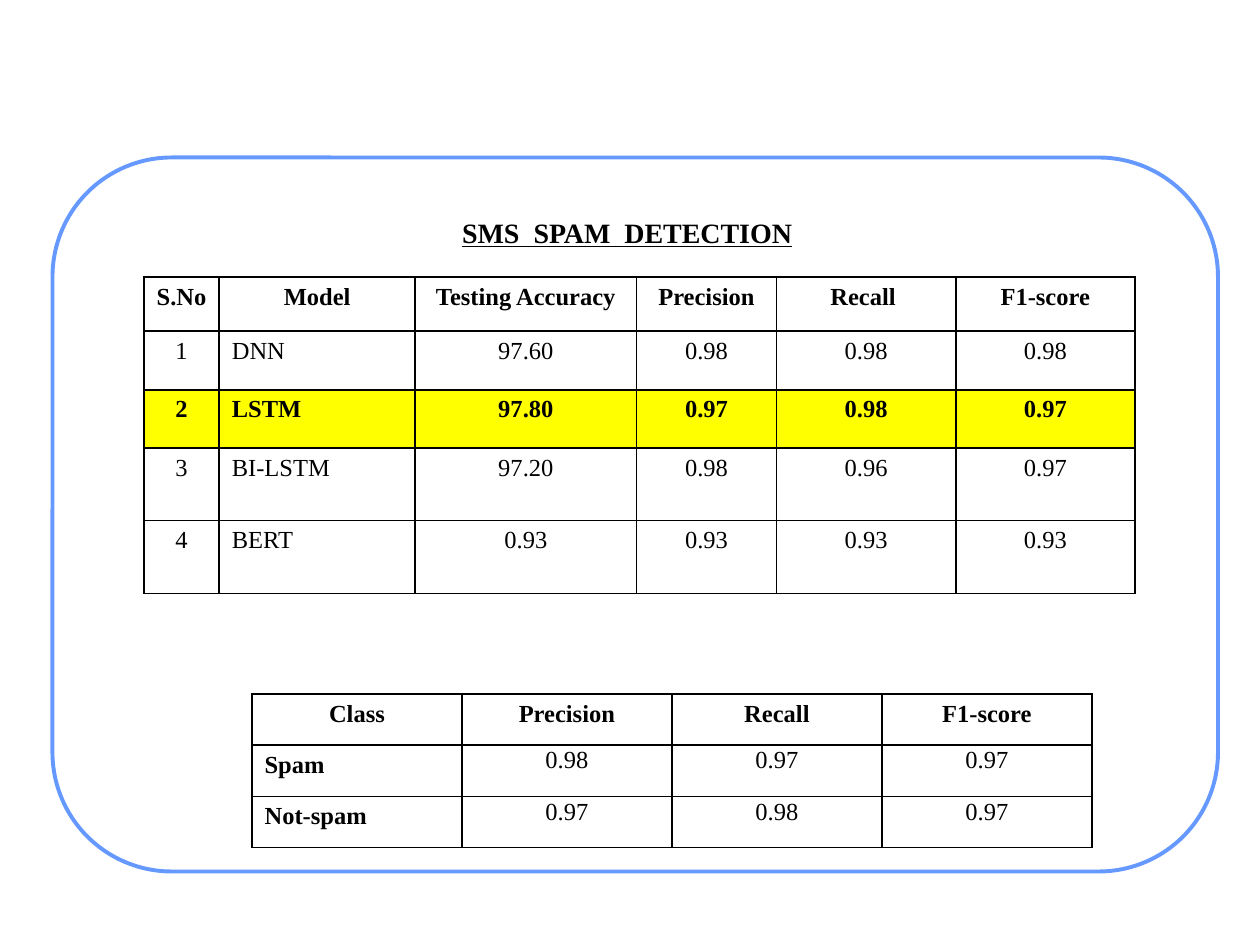
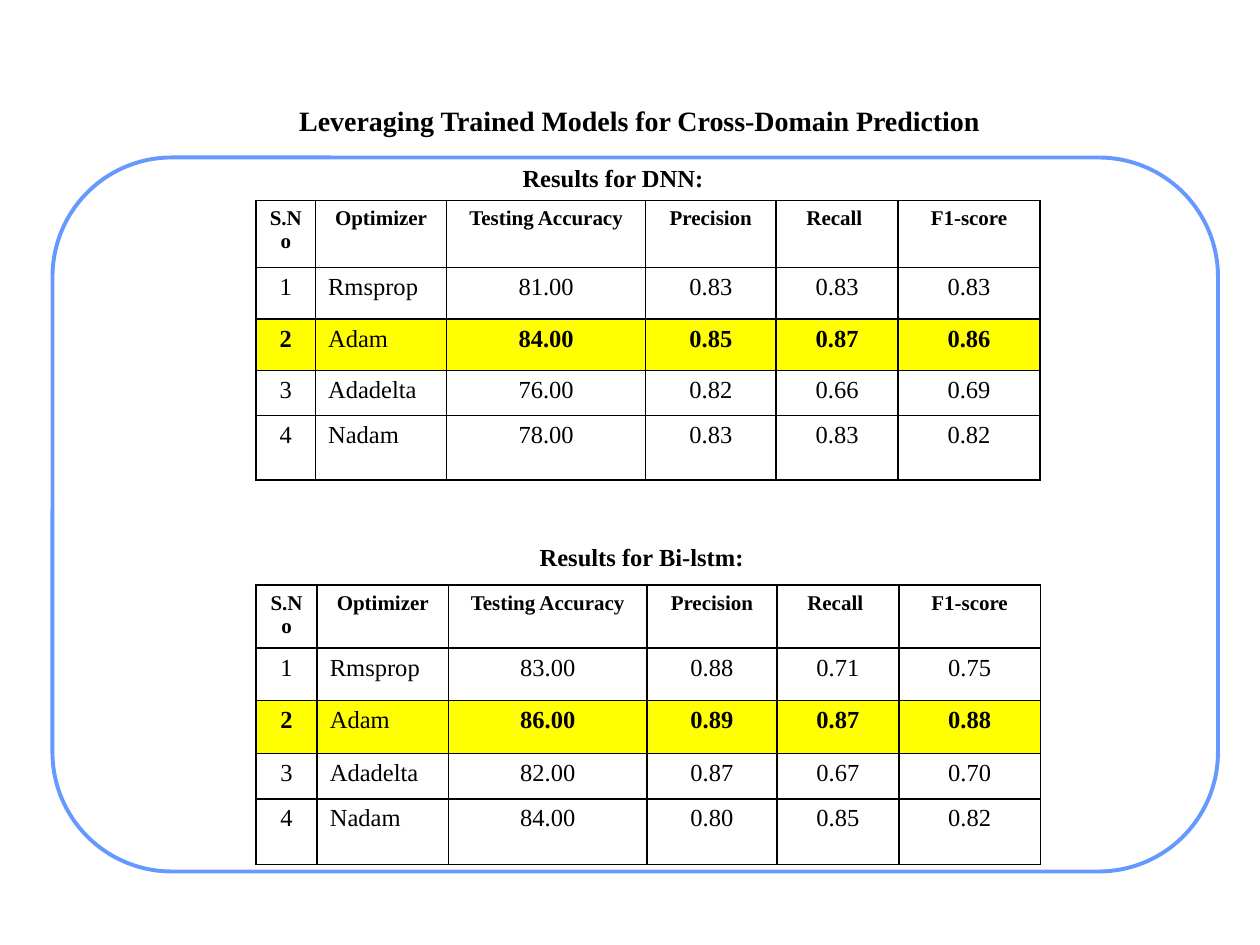
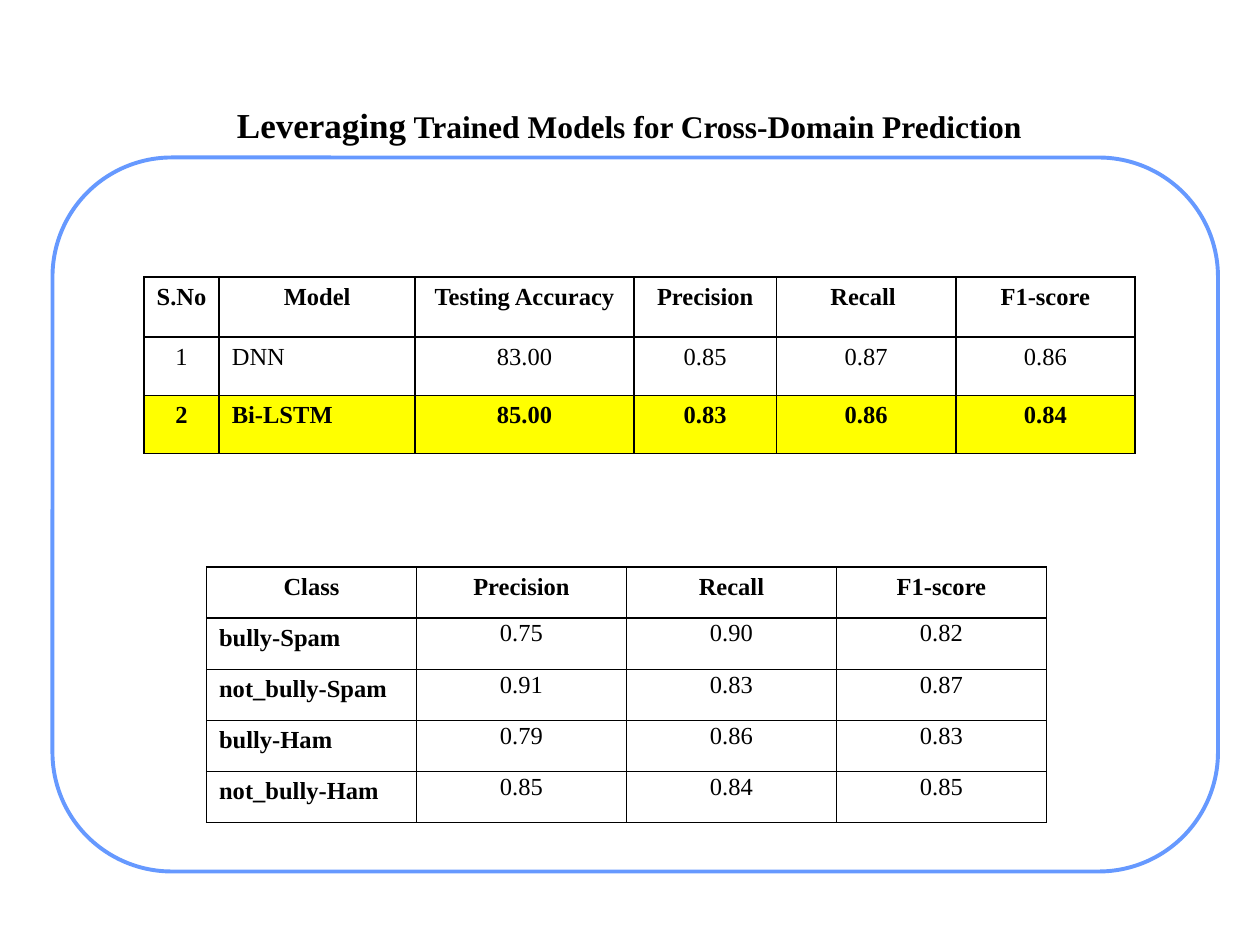
from lxml.etree import SubElement
from pptx import Presentation
from pptx.dml.color import RGBColor
from pptx.enum.shapes import MSO_SHAPE
from pptx.enum.text import PP_ALIGN
from pptx.oxml.ns import qn
from pptx.util import Pt

# Shared look
FONT = "Times New Roman"
BLACK, WHITE, FRAME_BLUE, HIGHLIGHT = "000000", "FFFFFF", "6699FF", "FFFF00"
color = RGBColor.from_string
HIGHLIGHT_ROW = 2

MODEL_HEADER = ["S.No", "Model", "Testing Accuracy", "Precision", "Recall ", "F1-score"]
OPTIMIZER_HEADER = ["S.No", "Optimizer", "Testing Accuracy", "Precision", "Recall ", "F1-score"]
CLASS_HEADER = ["Class", "Precision", "Recall", "F1-score"]
CLASS_WIDTHS = [120] * 4
CLASS_ROW_HEIGHT = 29.25


def write_text(paragraph, text, size=14, bold=False, underline=False, align=PP_ALIGN.LEFT):
    paragraph.alignment = align
    run = paragraph.add_run()
    run.text = text
    run.font.name = FONT
    run.font.size = Pt(size)
    run.font.bold = bold
    run.font.underline = underline
    run.font.color.rgb = color(BLACK)


def add_results(slide, left, top, widths, heights, rows, header_size=14):
    shape = slide.shapes.add_table(len(rows), len(widths), Pt(left), Pt(top),
                                   Pt(sum(widths)), Pt(sum(heights)))
    table = shape.table
    table.first_row = table.horz_banding = False
    for column, width in zip(table.columns, widths):
        column.width = Pt(width)
    for row, height in zip(table.rows, heights):
        row.height = Pt(height)

    by_class = rows[0][0] == "Class"
    by_optimizer = rows[0][1] == "Optimizer"
    name_column = 0 if by_class else 1
    for row_index, values in enumerate(rows):
        header = row_index == 0
        highlighted = row_index == HIGHLIGHT_ROW and not by_class
        for column_index, value in enumerate(values):
            cell = table.cell(row_index, column_index)
            name = column_index == name_column and not header
            if name:
                bold = by_class or (highlighted and not by_optimizer)
            else:
                bold = header or highlighted
            paragraph = cell.text_frame.paragraphs[0]
            write_text(paragraph, value, size=header_size if header else 14, bold=bold,
                       align=PP_ALIGN.LEFT if name else PP_ALIGN.CENTER)
            # Class scores sit close to the top of their cells
            if by_class and not header and not name:
                cell.margin_left = cell.margin_right = Pt(5)
                cell.margin_top = cell.margin_bottom = Pt(0)
                paragraph.line_spacing = 1.07
                paragraph.space_after = Pt(8)
            # Borders come before the fill in the cell properties
            properties = cell._tc.get_or_add_tcPr()
            for side in ("a:lnL", "a:lnR", "a:lnT", "a:lnB"):
                border = SubElement(properties, qn(side), w=str(Pt(1)))
                solid = SubElement(border, qn("a:solidFill"))
                SubElement(solid, qn("a:srgbClr"), val=BLACK)
            if highlighted:
                cell.fill.solid()
                cell.fill.fore_color.rgb = color(HIGHLIGHT)
            else:
                cell.fill.background()


presentation = Presentation()
presentation.slide_width, presentation.slide_height = Pt(720), Pt(540)

# Three slides with the rounded frame
slides = []
for _ in range(3):
    slide = presentation.slides.add_slide(presentation.slide_layouts[6])
    frame = slide.shapes.add_shape(MSO_SHAPE.ROUNDED_RECTANGLE, Pt(30), Pt(90), Pt(666), Pt(408))
    frame.adjustments[0] = 0.167
    frame.shadow.inherit = False
    frame.fill.solid()
    frame.fill.fore_color.rgb = color(WHITE)
    frame.line.color.rgb = color(FRAME_BLUE)
    frame.line.width = Pt(2.25)
    slides.append(slide)
spam_slide, optimizer_slide, cross_domain_slide = slides

# Headings: slide, box, side inset, alignment, runs as (text, format)
headings = [
    (spam_slide, (257, 119.5, 207, 26.5), 7.2, PP_ALIGN.LEFT,
     [("SMS  SPAM  DETECTION", {"size": 16, "underline": True})]),
    (optimizer_slide, (155.5, 55.5, 420, 26.5), 7.2, PP_ALIGN.CENTER,
     [("Leveraging Trained Models for Cross-Domain Prediction", {"size": 16})]),
    (optimizer_slide, (295, 89.5, 141, 24.5), 3.6, PP_ALIGN.LEFT, [("Results for DNN:", {})]),
    (optimizer_slide, (304.8, 306.3, 141, 24.5), 3.6, PP_ALIGN.LEFT,
     [("Results for Bi-lstm:", {})]),
    (cross_domain_slide, (102, 55.5, 515.5, 31.5), 7.2, PP_ALIGN.CENTER,
     [("Leveraging", {"size": 20}),
      (" Trained Models for Cross-Domain Prediction", {"size": 18})]),
]
for slide, box, inset, align, runs in headings:
    text_frame = slide.shapes.add_textbox(*map(Pt, box)).text_frame
    text_frame.word_wrap = True
    text_frame.margin_left = text_frame.margin_right = Pt(inset)
    for text, text_format in runs:
        write_text(text_frame.paragraphs[0], text, bold=True, align=align, **text_format)

# Slide 1: spam detection models and classes
add_results(spam_slide, 82.3, 158.3, [43, 112, 126.5, 80, 102.5, 102.3],
            [31, 33.5, 33.3, 41.5, 41.7], [
    MODEL_HEADER,
    ["1", "DNN", "97.60", "0.98", "0.98", "0.98"],
    ["2", "LSTM", "97.80", "0.97", "0.98", "0.97"],
    ["3", "BI-LSTM", "97.20", "0.98", "0.96", "0.97"],
    ["4", "BERT", "0.93", "0.93", "0.93", "0.93"],
])
add_results(spam_slide, 144, 396.6, CLASS_WIDTHS, [CLASS_ROW_HEIGHT] * 3, [
    CLASS_HEADER,
    ["Spam", "0.98", "0.97", "0.97"],
    ["Not-spam", "0.97", "0.98", "0.97"],
])

# Slide 2: optimizers for each model
add_results(optimizer_slide, 146.3, 114.6, [34, 75, 113.7, 74.5, 69.8, 81],
            [38.2, 29.6, 29.4, 25.7, 36.8], [
    OPTIMIZER_HEADER,
    ["1", "Rmsprop", "81.00", "0.83", "0.83", "0.83"],
    ["2", "Adam", "84.00", "0.85", "0.87", "0.86"],
    ["3", "Adadelta", "76.00", "0.82", "0.66", "0.69"],
    ["4", "Nadam", "78.00", "0.83", "0.83", "0.82"],
], header_size=12)
add_results(optimizer_slide, 146.3, 334.3, [35, 75, 113.5, 74.2, 69.8, 80.8],
            [36, 30, 30.2, 26, 37.5], [
    OPTIMIZER_HEADER,
    ["1", "Rmsprop", "83.00", "0.88", "0.71", "0.75"],
    ["2", "Adam", "86.00", "0.89", "0.87", "0.88"],
    ["3", "Adadelta", "82.00", "0.87", "0.67", "0.70"],
    ["4", "Nadam", "84.00", "0.80", "0.85", "0.82"],
], header_size=12)

# Slide 3: cross-domain models and classes
add_results(cross_domain_slide, 82.3, 158.3, [43, 112, 125, 81.5, 102.5, 102.3],
            [34.3, 33.3, 33.3], [
    MODEL_HEADER,
    ["1", "DNN", "83.00", "0.85", "0.87", "0.86"],
    ["2", "Bi-LSTM", "85.00", "0.83", "0.86", "0.84"],
])
add_results(cross_domain_slide, 118, 324, CLASS_WIDTHS, [CLASS_ROW_HEIGHT] * 5, [
    CLASS_HEADER,
    ["bully-Spam", "0.75", "0.90", "0.82"],
    ["not_bully-Spam", "0.91", "0.83", "0.87"],
    ["bully-Ham", "0.79", "0.86", "0.83"],
    ["not_bully-Ham", "0.85", "0.84", "0.85"],
])

presentation.save("out.pptx")
